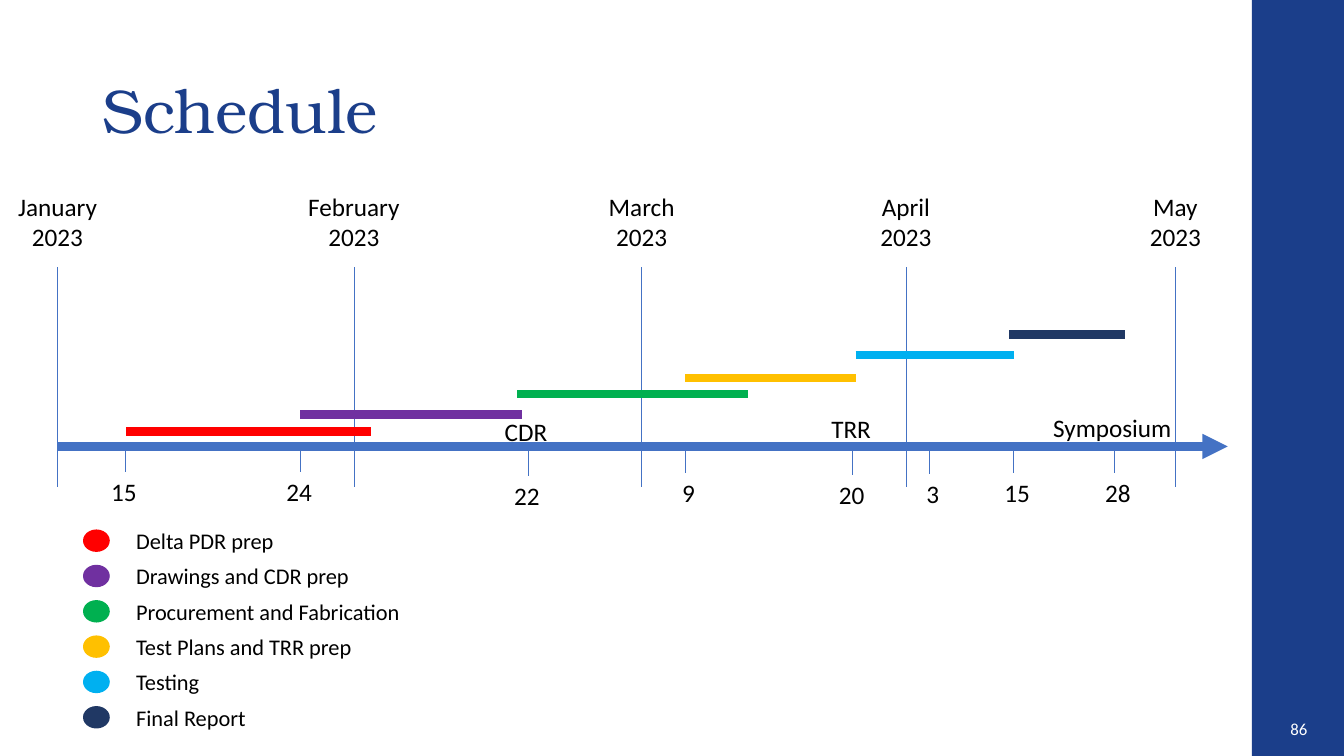
from lxml.etree import SubElement
from pptx import Presentation
from pptx.dml.color import RGBColor
from pptx.enum.shapes import MSO_CONNECTOR, MSO_SHAPE
from pptx.enum.text import MSO_ANCHOR, PP_ALIGN
from pptx.oxml.ns import qn
from pptx.util import Cm, Pt

NAVY = RGBColor(0x1B, 0x3E, 0x8A)
AXIS_BLUE = RGBColor(0x44, 0x72, 0xC4)
BLACK = RGBColor(0, 0, 0)
WHITE = RGBColor(0xFF, 0xFF, 0xFF)
RED = RGBColor(0xFF, 0, 0)
PURPLE = RGBColor(0x70, 0x30, 0xA0)
GREEN = RGBColor(0, 0xB0, 0x50)
AMBER = RGBColor(0xFF, 0xC0, 0)
SKY = RGBColor(0, 0xB0, 0xF0)
DARK_BLUE = RGBColor(0x20, 0x38, 0x64)

# All positions are in centimetres.
# label, line position, label width
MONTHS = [
    ("January 2023", 1.45, 2.54),
    ("February 2023", 8.92, 3.02),
    ("March 2023", 16.17, 2.54),
    ("April 2023", 22.83, 2.54),
    ("May 2023", 29.62, 2.54),
]
# label, colour, start, end, height of the bar on the page
TASKS = [
    ("Delta PDR prep", RED, 3.18, 9.35, 10.87),
    ("Drawings and CDR prep", PURPLE, 7.57, 13.16, 10.44),
    ("Procurement and Fabrication", GREEN, 13.03, 18.85, 9.93),
    ("Test Plans and TRR prep", AMBER, 17.27, 21.56, 9.52),
    ("Testing", SKY, 21.56, 25.55, 8.94),
    ("Final Report", DARK_BLUE, 25.43, 28.35, 8.43),
]
# day, position, top of the tick, alignment
DAYS = [
    ("15", 3.15, 11.18, PP_ALIGN.LEFT),
    ("24", 7.57, 11.18, PP_ALIGN.LEFT),
    ("22", 13.31, 11.28, PP_ALIGN.LEFT),
    ("9", 17.27, 11.2, PP_ALIGN.CENTER),
    ("20", 21.49, 11.25, PP_ALIGN.LEFT),
    ("3", 23.42, 11.23, PP_ALIGN.CENTER),
    ("15", 25.55, 11.2, PP_ALIGN.CENTER),
    ("28", 28.09, 11.2, PP_ALIGN.CENTER),
]
# label, left, top, width
MILESTONES = [
    ("CDR", 12.47, 10.36, 1.85),
    ("TRR", 20.7, 10.29, 1.85),
    ("Symposium", 26.29, 10.26, 4.04),
]

AXIS_START, AXIS_END, AXIS_Y = 1.45, 30.94, 11.25
MONTH_TOP, MONTH_BOTTOM = 6.73, 12.27
TICK_LENGTH = 0.71
LEGEND_TOP, LEGEND_STEP = 13.16, 0.89

deck = Presentation()
deck.slide_width, deck.slide_height = Cm(33.87), Cm(19.05)
page = deck.slides.add_slide(deck.slide_layouts[6])


def add_text(text, left, top, width, height, size=18, color=BLACK,
             align=PP_ALIGN.LEFT, font="Calibri", anchor=MSO_ANCHOR.TOP):
    box = page.shapes.add_textbox(Cm(left), Cm(top), Cm(width), Cm(height))
    frame = box.text_frame
    frame.word_wrap = True
    frame.vertical_anchor = anchor
    frame.text = text
    para = frame.paragraphs[0]
    para.alignment = align
    span = para.runs[0]
    span.font.size = Pt(size)
    span.font.name = font
    span.font.color.rgb = color
    return para


def add_shape(kind, left, top, width, height, color):
    shape = page.shapes.add_shape(kind, Cm(left), Cm(top), Cm(width), Cm(height))
    shape.shadow.inherit = False
    shape.fill.solid()
    shape.fill.fore_color.rgb = color
    shape.line.color.rgb = color
    shape.line.width = Pt(1)
    return shape


def add_line(x1, y1, x2, y2, color=AXIS_BLUE, weight=0.5, arrow=False):
    line = page.shapes.add_connector(
        MSO_CONNECTOR.STRAIGHT, Cm(x1), Cm(y1), Cm(x2), Cm(y2))
    line.line.color.rgb = color
    line.line.width = Pt(weight)
    if arrow:
        SubElement(line.line._get_or_add_ln(), qn("a:tailEnd"), type="triangle")
    SubElement(line._element.spPr, qn("a:effectLst"))


sidebar = add_shape(MSO_SHAPE.RECTANGLE, 31.55, 0, 2.32, 19.05, NAVY)
sidebar.line.fill.background()
add_text("86", 32.16, 17.86, 1.04, 1.02, size=12, color=WHITE,
         align=PP_ALIGN.RIGHT, anchor=MSO_ANCHOR.MIDDLE)
title = add_text("Schedule", 2.34, 1.02, 29.21, 3.68, size=44, color=NAVY,
                 font="TeX Gyre Bonum", anchor=MSO_ANCHOR.MIDDLE)
title.line_spacing = 0.9

add_line(AXIS_START, AXIS_Y, AXIS_END, AXIS_Y, weight=6, arrow=True)
for label, x, width in MONTHS:
    add_line(x, MONTH_TOP, x, MONTH_BOTTOM)
    add_text(label, x - width / 2, 4.7, width, 1.8, align=PP_ALIGN.CENTER)

for row, (label, color, start, end, y) in enumerate(TASKS):
    add_line(start, y, end, y, color, weight=6)
    legend_y = LEGEND_TOP + row * LEGEND_STEP
    add_shape(MSO_SHAPE.OVAL, 2.11, legend_y + 0.2, 0.64, 0.53, color)
    add_text(label, 3.18, legend_y, 7.5, 0.94, size=16)

for day, x, top, align in DAYS:
    add_line(x, top, x, top + TICK_LENGTH)
    add_text(day, x - 0.6, top + TICK_LENGTH, 1.37, 1.02, align=align)

for label, left, top, width in MILESTONES:
    add_text(label, left, top, width, 1.02)

deck.save("out.pptx")
